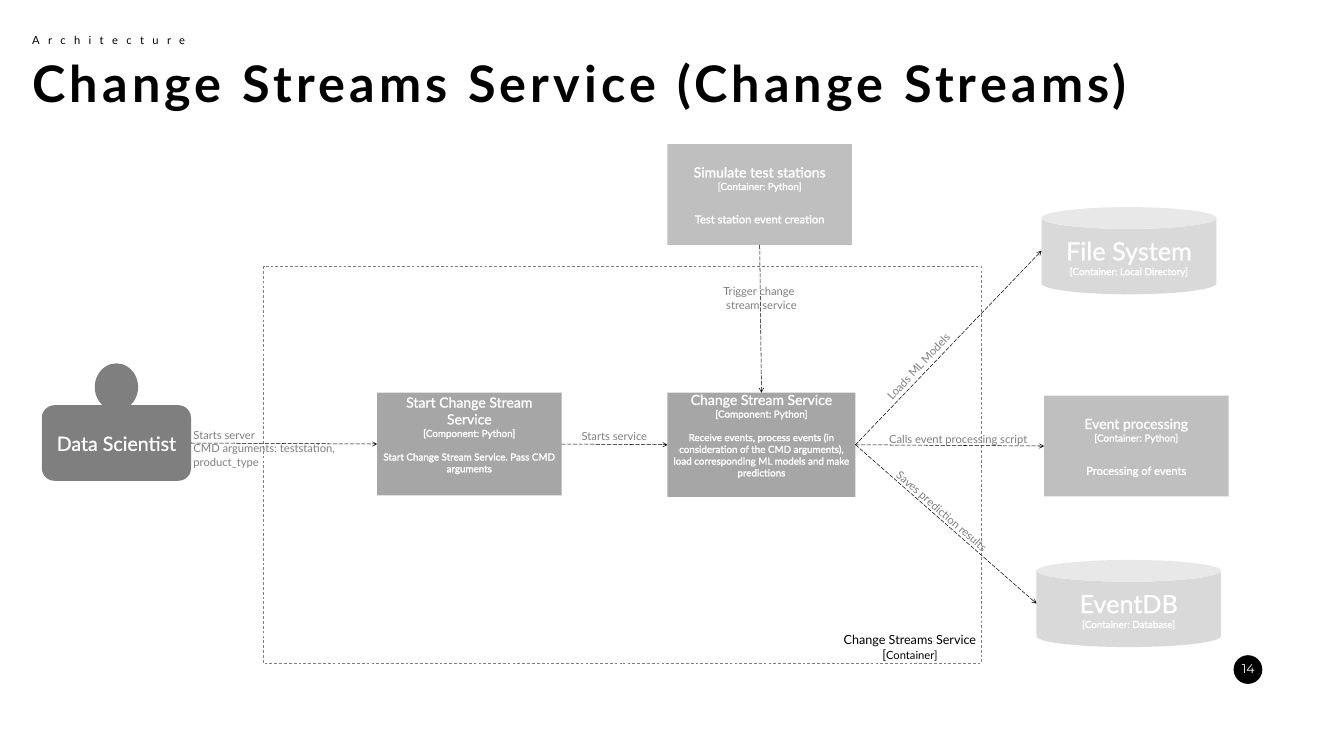
from lxml import etree
from pptx import Presentation
from pptx.dml.color import RGBColor
from pptx.enum.dml import MSO_LINE_DASH_STYLE as Dash
from pptx.enum.shapes import MSO_CONNECTOR, MSO_SHAPE as Shape
from pptx.enum.text import MSO_ANCHOR as Anchor, MSO_AUTO_SIZE as AutoSize, PP_ALIGN as Align
from pptx.oxml.ns import qn
from pptx.util import Inches, Pt

BLACK, WHITE, GREY = "000000", "FFFFFF", "7F7F7F"
COMPONENT, CONTAINER, STORE = "A6A6A6", "BFBFBF", "D9D9D9"
TOP, LEFT, BOTTOM, RIGHT = range(4)


def color(value):
    return RGBColor.from_string(value)


class Diagram:
    font = "Lato"
    small_gap, large_gap = 16.8, 28.8

    def __init__(self, slide):
        self.slide = slide

    def run(self, paragraph, text, size, fill, bold=False, spacing=0, outlined=False, font=None):
        for index, part in enumerate(text.split("\n")):
            if index:
                paragraph.add_line_break()
            run = paragraph.add_run()
            run.text = part
            run.font.name = font or self.font
            run.font.size = Pt(size)
            run.font.bold = bold
            run.font.color.rgb = color(fill)
            properties = run.font._element
            if spacing:
                properties.set("spc", str(spacing * 100))
            if outlined:
                outline = etree.Element(qn("a:ln"), w=str(Pt(0.75)))
                solid = etree.SubElement(outline, qn("a:solidFill"))
                etree.SubElement(solid, qn("a:srgbClr"), val=WHITE)
                properties.insert(0, outline)

    def label(self, box, paragraphs, fill=GREY, align=Align.LEFT, rotation=0, wrap=True, **style):
        shape = self.slide.shapes.add_textbox(*map(Inches, box))
        shape.rotation = rotation
        frame = shape.text_frame
        frame.word_wrap = wrap
        frame.auto_size = AutoSize.SHAPE_TO_FIT_TEXT
        for index, runs in enumerate(paragraphs):
            paragraph = frame.add_paragraph() if index else frame.paragraphs[0]
            paragraph.alignment = align
            for text, size in runs:
                self.run(paragraph, text, size, fill, **style)

    def block(self, kind, box, fill, lines=(), bottom_gap=0, shapes=None):
        shape = (shapes or self.slide.shapes).add_shape(kind, *map(Inches, box))
        shape.shadow.inherit = False
        shape.fill.solid()
        shape.fill.fore_color.rgb = color(fill)
        shape.line.fill.background()
        frame = shape.text_frame
        frame.word_wrap = True
        frame.vertical_anchor = Anchor.MIDDLE
        frame.margin_left = frame.margin_right = Inches(0.11)
        frame.margin_bottom = Inches(0.05) + Pt(bottom_gap)
        for index, (text, size, gap) in enumerate(lines):
            paragraph = frame.add_paragraph() if index else frame.paragraphs[0]
            paragraph.alignment = Align.CENTER
            if gap:
                paragraph.space_before = Pt(gap)
            self.run(paragraph, text, size, WHITE, outlined=True)
        return shape

    def component(self, box, name, description):
        first, *others = description
        lines = [(name, 20, 0), ("[Component: Python]", 14, 0), (first, 14, self.small_gap)]
        lines += [(text, 14, 0) for text in others]
        return self.block(Shape.RECTANGLE, box, COMPONENT, lines, self.large_gap)

    def container(self, left, top, name, description):
        lines = [(name, 20, 0), ("[Container: Python]", 14, 0), (description, 16, self.large_gap)]
        return self.block(Shape.RECTANGLE, (left, top, 3.66, 2), CONTAINER, lines)

    def store(self, left, top, width, name, kind):
        lines = [(name, 36, 0), (f"[Container: {kind}]", 14, 0)]
        return self.block(Shape.CAN, (left, top, width, 1.73), STORE, lines)

    def person(self, name):
        shapes = self.slide.shapes.add_group_shape().shapes
        body = self.block(Shape.ROUNDED_RECTANGLE, (0.83, 8.04, 2.96, 1.5), GREY,
                          [(name, 28, 0)], shapes=shapes)
        self.block(Shape.OVAL, (1.88, 7.21, 0.86, 0.94), GREY, shapes=shapes)
        return body

    def boundary(self, box):
        shape = self.slide.shapes.add_shape(Shape.RECTANGLE, *map(Inches, box))
        shape.shadow.inherit = False
        shape.fill.background()
        shape.line.color.rgb = color(GREY)
        shape.line.width = Pt(1)
        shape.line.dash_style = Dash.DASH

    def arrow(self, source, source_side, target, target_side=None):
        middle = target.top + target.height // 2
        connector = self.slide.shapes.add_connector(
            MSO_CONNECTOR.STRAIGHT, source.left, source.top, target.left, middle)
        connector.begin_connect(source, source_side)
        if target_side is not None:
            connector.end_connect(target, target_side)
        connector.line.color.rgb = color(BLACK)
        connector.line.width = Pt(0.75)
        connector.line.dash_style = Dash.LONG_DASH
        etree.SubElement(connector.line._get_or_add_ln(), qn("a:tailEnd"), type="arrow")
        etree.SubElement(connector._element.spPr, qn("a:effectLst"))


def main():
    presentation = Presentation()
    presentation.slide_width, presentation.slide_height = Inches(26.66), Inches(15)
    diagram = Diagram(presentation.slides.add_slide(presentation.slide_layouts[6]))

    diagram.block(Shape.OVAL, (24.47, 13, 0.57, 0.57), BLACK)
    diagram.label((24.33, 13.06, 0.86, 0.4), [[("14", 18)]], WHITE, Align.CENTER,
                  wrap=False, font="Montserrat")
    diagram.label((0.54, 0.61, 3.42, 0.37), [[("Architecture", 16)]], BLACK, wrap=False, spacing=12)
    diagram.label((0.54, 0.98, 25.88, 1.31), [[("Change Streams Service (Change Streams)", 72)]],
                  BLACK, bold=True, spacing=6)

    diagram.boundary((5.23, 5.28, 14.23, 7.89))
    diagram.label((16.57, 12.49, 2.96, 0.71),
                  [[("Change Streams Service\n[", 18), ("Container]", 16)]], BLACK, Align.CENTER)

    scientist = diagram.person("Data Scientist")
    starter = diagram.component((7.48, 7.79, 3.66, 2.04), "Start Change Stream Service",
                                ["Start Change Stream Service. Pass CMD arguments"])
    service = diagram.component(
        (13.24, 7.79, 3.73, 2.07), "Change Stream Service",
        ["Receive events, process events (in consideration of the CMD arguments),",
         "load corresponding ML models and make predictions"])
    simulation = diagram.container(13.24, 2.86, "Simulate test stations", "Test station event creation")
    processing = diagram.container(20.71, 7.85, "Event processing", "Processing of events")
    files = diagram.store(20.66, 4.11, 3.47, "File System", "Local Directory")
    database = diagram.store(20.56, 11.11, 3.66, "EventDB", "Database")

    diagram.arrow(simulation, BOTTOM, service, TOP)
    diagram.arrow(scientist, RIGHT, starter, LEFT)
    diagram.arrow(starter, RIGHT, service, LEFT)
    diagram.arrow(service, RIGHT, processing, LEFT)
    diagram.arrow(service, RIGHT, files)
    diagram.arrow(service, RIGHT, database)

    for left, top, width, height, rotation, paragraphs in [
        (14.25, 5.6, 2.41, 0.64, 0, ["Trigger change", " stream service"]),
        (3.74, 8.45, 3.77, 0.91, 0, ["Starts server \nCMD arguments: teststation, product_type"]),
        (11.44, 8.46, 3.77, 0.37, 0, ["Starts service"]),
        (17.54, 8.53, 3.77, 0.37, 0, ["Calls event processing script"]),
        (16.97, 6.4, 3.77, 0.37, 312.9, ["Loads ML Models"]),
        (17.28, 10.38, 3.77, 0.37, 41, ["Saves prediction results"]),
    ]:
        diagram.label((left, top, width, height), [[(text, 16)] for text in paragraphs],
                      rotation=rotation)

    presentation.save("out.pptx")


if __name__ == "__main__":
    main()
